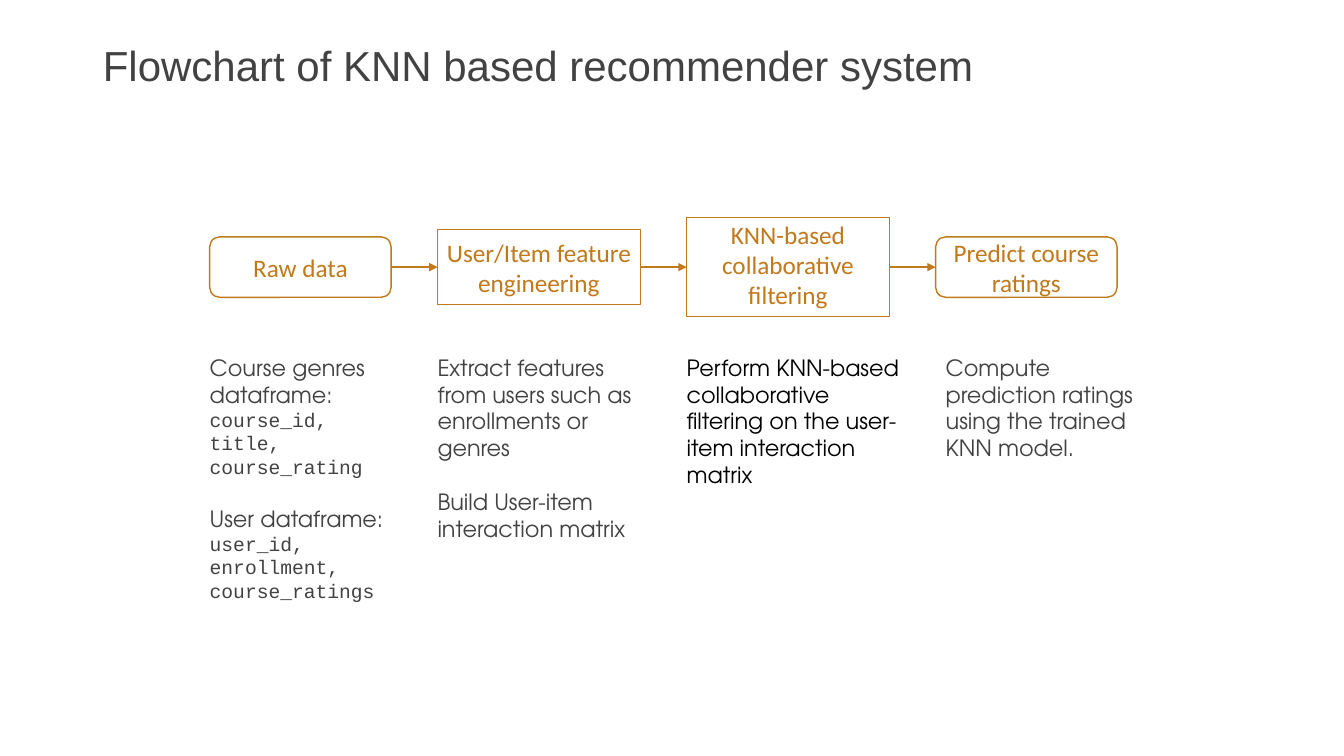
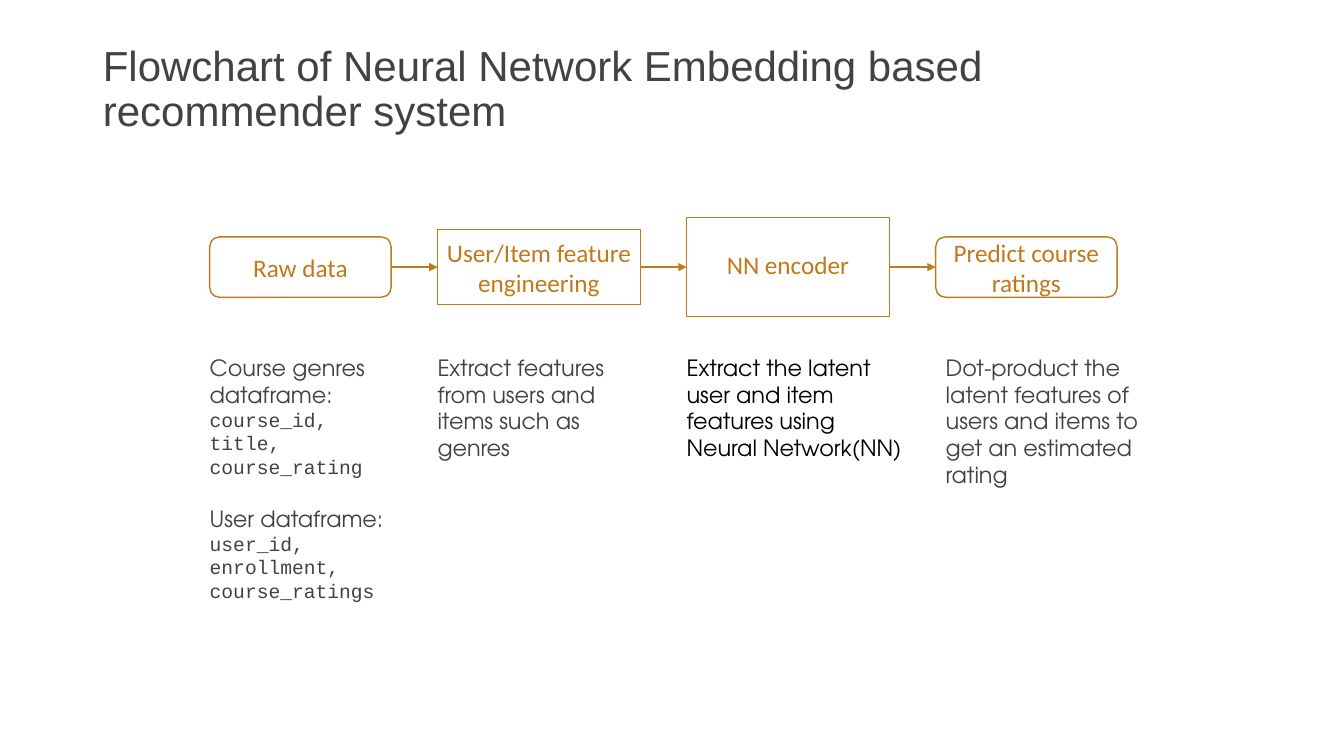
"""Build two flowchart slides on course recommender systems."""
from dataclasses import dataclass

from lxml import etree
from pptx import Presentation
from pptx import util as u
from pptx.dml.color import RGBColor
from pptx.enum import shapes, text
from pptx.oxml.ns import qn

PX = 9144
COLORS = {"ink": "424242", "black": "000000", "accent": "C0791B", "white": "FFFFFF"}
FONTS = {
    "title": ("Arial", 30),
    "step": ("Calibri", 18),
    "note": ("TeX Gyre Adventor", 16),
    "code": ("Courier New", 14),
}
FLOW_LEFT, FLOW_MIDDLE, FLOW_GAP = 208, 265, 46
NOTE_TOP, GAP_PT = 341, 19


@dataclass
class Column:
    """Geometry of one flow step and the note below it."""
    width: int
    height: int
    note_width: int
    note_height: int
    rounded: bool = False
    bottom_inset: int = 0
    note_shift: int = 0
    note_color: str = "ink"


COLUMNS = [
    Column(180, 60, 195, 282, rounded=True),
    Column(201, 74, 213, 258),
    Column(201, 98, 218, 238, bottom_inset=5, note_color="black"),
    Column(180, 60, 193, 238, rounded=True, note_shift=10),
]
RAW_DATA_NOTE = [
    ("note", "Course genres dataframe:", 0),
    ("code", "course_id, title, course_rating", 0),
    ("note", "User dataframe:", GAP_PT),
    ("code", "user_id,", 0),
    ("code", "enrollment,", 0),
    ("code", "course_ratings", 0),
]
SLIDES = [
    ("Flowchart of KNN based recommender system",
     "KNN-based collaborative filtering",
     [[("note", "Extract features from users such as enrollments or genres", 0),
       ("note", "Build User-item interaction matrix", GAP_PT)],
      [("note", "Perform KNN-based collaborative filtering on the user-item "
                "interaction matrix", 0)],
      [("note", "Compute prediction ratings using the trained KNN model.", 0)]]),
    ("Flowchart of Neural Network Embedding based recommender system",
     "NN encoder",
     [[("note", "Extract features from users and items such as genres", 0)],
      [("note", "Extract the latent user and item features using "
                "Neural Network(NN)", 0)],
      [("note", "Dot-product the latent features of users and items to get "
                "an estimated rating", 0)]]),
]


def px(*values):
    """Turn pixel lengths into EMU."""
    return [u.Emu(v * PX) for v in values]


def rgb(name):
    """Look up a palette colour."""
    return RGBColor.from_string(COLORS[name])


def set_font(p, style, color):
    """Apply a named font style and colour to a paragraph."""
    name, size = FONTS[style]
    p.font.name, p.font.size = name, u.Pt(size)
    p.font.color.rgb = rgb(color)


def set_frame(tf, anchor, left, top, right, bottom):
    """Set wrapping, anchor and insets of a text frame."""
    tf.word_wrap = True
    tf.auto_size = text.MSO_AUTO_SIZE.NONE
    tf.vertical_anchor = anchor
    tf.margin_left, tf.margin_top, tf.margin_right, tf.margin_bottom = px(
        left, top, right, bottom)


def add_title(s, title):
    """Fill and format the title placeholder."""
    sp = s.shapes.title
    sp.left, sp.top, sp.width, sp.height = px(92, 40, 1150, 145)
    tf = sp.text_frame
    set_frame(tf, text.MSO_ANCHOR.TOP, 10, 5, 10, 5)
    p = tf.paragraphs[0]
    p.text = title
    p.alignment = text.PP_ALIGN.LEFT
    p.line_spacing = 0.9
    set_font(p, "title", "ink")


def add_step(s, left, col, label):
    """Draw one outlined flow step centred on the flow line."""
    kind = shapes.MSO_SHAPE.ROUNDED_RECTANGLE if col.rounded else shapes.MSO_SHAPE.RECTANGLE
    top = FLOW_MIDDLE - col.height // 2
    sp = s.shapes.add_shape(kind, *px(left, top, col.width, col.height))
    sp.shadow.inherit = False
    sp.line.color.rgb = rgb("accent")
    sp.line.width = u.Pt(1)
    if col.rounded:
        sp.fill.background()
    else:
        sp.fill.solid()
        sp.fill.fore_color.rgb = rgb("white")
    tf = sp.text_frame
    set_frame(tf, text.MSO_ANCHOR.MIDDLE, 0, 0, 0, col.bottom_inset)
    p = tf.paragraphs[0]
    p.text = label
    p.alignment = text.PP_ALIGN.CENTER
    set_font(p, "step", "accent")
    return sp


def add_note(s, left, col, lines):
    """Write the explanation below a flow step."""
    sp = s.shapes.add_textbox(*px(left + col.note_shift, NOTE_TOP,
                                  col.note_width, col.note_height))
    tf = sp.text_frame
    set_frame(tf, text.MSO_ANCHOR.TOP, 0, 10, 0, 10)
    for i, (style, line, gap) in enumerate(lines):
        p = tf.add_paragraph() if i else tf.paragraphs[0]
        p.text = line
        p.space_before = u.Pt(gap)
        set_font(p, style, col.note_color)


def add_arrow(s, start, end):
    """Join two steps with an arrow from right side to left side."""
    line = s.shapes.add_connector(shapes.MSO_CONNECTOR.STRAIGHT, 0, 0, 0, 0)
    line.begin_connect(start, 3)
    line.end_connect(end, 1)
    line.line.color.rgb = rgb("accent")
    line.line.width = u.Pt(1.25)
    etree.SubElement(line.line._get_or_add_ln(), qn("a:tailEnd"), type="triangle")
    etree.SubElement(line._element.spPr, qn("a:effectLst"))


def add_flow_slide(prs, title, model, notes):
    """Add a slide with a title, four linked steps and their notes."""
    s = prs.slides.add_slide(prs.slide_layouts[5])
    add_title(s, title)
    labels = ["Raw data", "User/Item feature engineering", model, "Predict course ratings"]
    left, previous = FLOW_LEFT, None
    for col, label, lines in zip(COLUMNS, labels, [RAW_DATA_NOTE, *notes]):
        add_note(s, left, col, lines)
        step = add_step(s, left, col, label)
        if previous is not None:
            add_arrow(s, previous, step)
        previous = step
        left += col.width + FLOW_GAP


def main():
    """Build and save the presentation."""
    prs = Presentation()
    prs.slide_width, prs.slide_height = px(1333, 750)
    for title, model, notes in SLIDES:
        add_flow_slide(prs, title, model, notes)
    prs.save("out.pptx")


if __name__ == "__main__":
    main()
